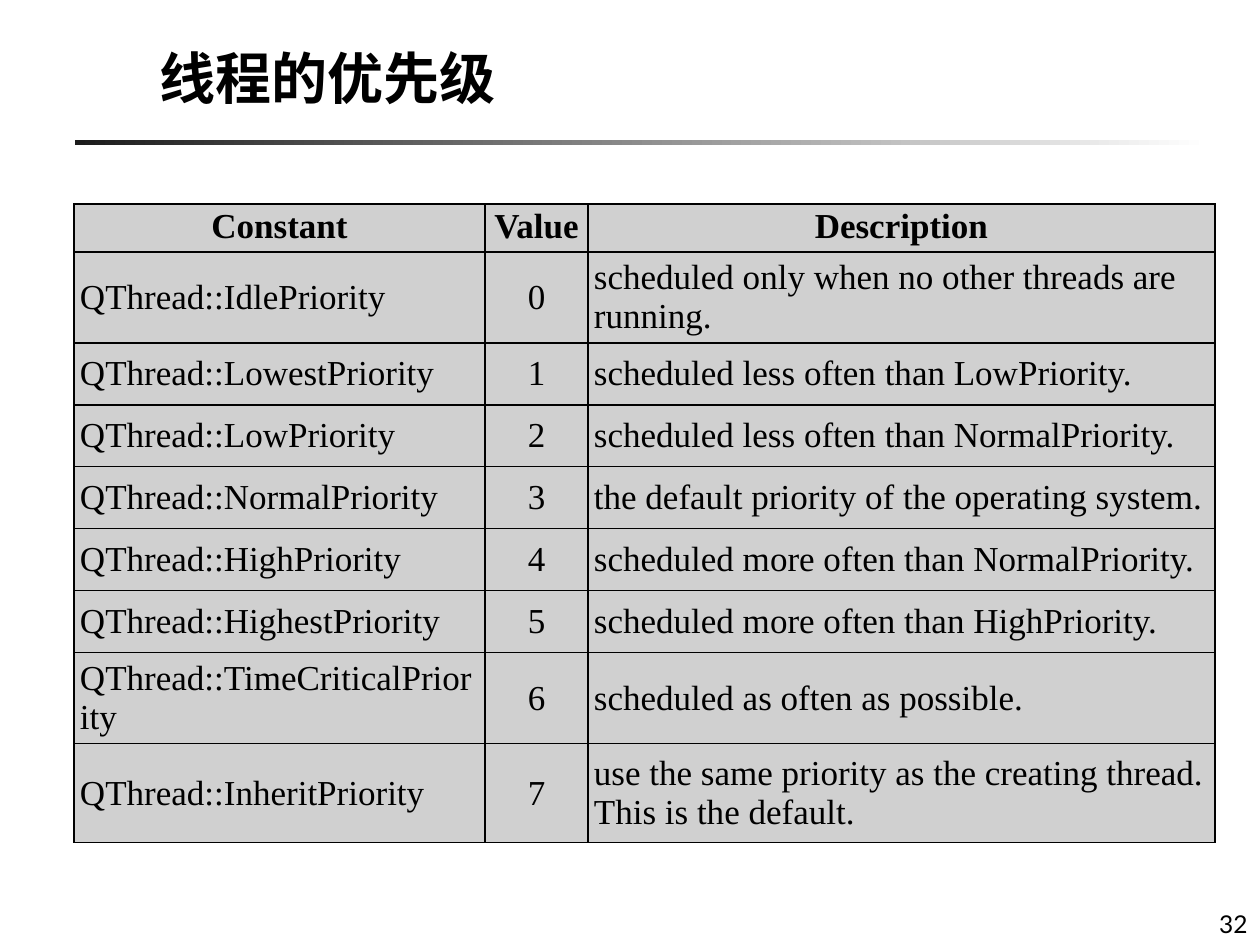
from pptx import Presentation
from pptx.dml.color import RGBColor
from pptx.enum.shapes import MSO_SHAPE as Shape
from pptx.enum.text import MSO_ANCHOR as Anchor, PP_ALIGN as Align
from pptx.oxml.xmlchemy import OxmlElement
from pptx.util import Pt

SCALE = 914400 / 126
BLACK, GREY = "000000", "D0D0D0"


def px(length):
    return round(length * SCALE)


def set_text(text_frame, text, font, size, bold=False, align=Align.LEFT):
    text_frame.text = text
    text_frame.word_wrap = True
    paragraph = text_frame.paragraphs[0]
    paragraph.alignment = align
    run = paragraph.runs[0]
    run.font.name, run.font.size, run.font.bold = font, Pt(size), bold
    run.font.color.rgb = RGBColor.from_string(BLACK)
    east_asian = OxmlElement("a:ea")
    east_asian.set("typeface", font)
    run._r.get_or_add_rPr().append(east_asian)


presentation = Presentation()
presentation.slide_width, presentation.slide_height = px(1260), px(945)
slide = presentation.slides.add_slide(presentation.slide_layouts[6])

# Fading rule under the title
rule = slide.shapes.add_shape(Shape.RECTANGLE, px(75), px(140), px(1134), px(5))
rule.shadow.inherit = False
rule.line.fill.background()
rule.fill.gradient()
rule.fill.gradient_angle = 0
for stop, color in zip(rule.fill.gradient_stops, ("1C1C1C", "FFFFFF")):
    stop.color.rgb = RGBColor.from_string(color)

# Title and page number
title = slide.shapes.add_textbox(px(147), px(37), px(1014), px(80))
set_text(title.text_frame, "线程的优先级", "Noto Sans CJK SC", 32, bold=True)
page_number = slide.shapes.add_textbox(px(998), px(882), px(262), px(63))
set_text(page_number.text_frame, "32", "Lato", 14, align=Align.RIGHT)
for box in (title, page_number):
    box.text_frame.vertical_anchor = Anchor.BOTTOM

# Priority table
priorities = [
    ("Idle", "scheduled only when no other threads are running."),
    ("Lowest", "scheduled less often than LowPriority."),
    ("Low", "scheduled less often than NormalPriority."),
    ("Normal", "the default priority of the operating system."),
    ("High", "scheduled more often than NormalPriority."),
    ("Highest", "scheduled more often than HighPriority."),
    ("TimeCritical", "scheduled as often as possible."),
    ("Inherit", "use the same priority as the creating thread. This is the default."),
]
rows = [("Constant", "Value", "Description")]
for value, (name, description) in enumerate(priorities):
    rows.append((f"QThread::{name}Priority", str(value), description))

column_widths = [411, 103, 627]
row_heights = [48, 91] + [62] * 5 + [91, 99]
table = slide.shapes.add_table(
    len(rows), len(column_widths), px(74), px(204),
    px(sum(column_widths)), px(sum(row_heights))).table
for column, width in zip(table.columns, column_widths):
    column.width = px(width)
for row, height in zip(table.rows, row_heights):
    row.height = px(height)

for row_index, texts in enumerate(rows):
    header = row_index == 0
    for column_index, text in enumerate(texts):
        cell = table.cell(row_index, column_index)
        centred = header or column_index == 1
        set_text(cell.text_frame, text, "Times New Roman", 20, header,
                 Align.CENTER if centred else Align.LEFT)
        cell.vertical_anchor = Anchor.TOP if header else Anchor.MIDDLE
        cell.margin_left = cell.margin_right = px(6)
        cell.margin_top = cell.margin_bottom = px(3)
        # Borders come before the fill in the cell properties
        properties = cell._tc.get_or_add_tcPr()
        for side in ("a:lnL", "a:lnR", "a:lnT", "a:lnB"):
            border = OxmlElement(side)
            border.set("w", str(Pt(0.75)))
            solid = OxmlElement("a:solidFill")
            color = OxmlElement("a:srgbClr")
            color.set("val", BLACK)
            solid.append(color)
            border.append(solid)
            properties.append(border)
        cell.fill.solid()
        cell.fill.fore_color.rgb = RGBColor.from_string(GREY)

presentation.save("out.pptx")
